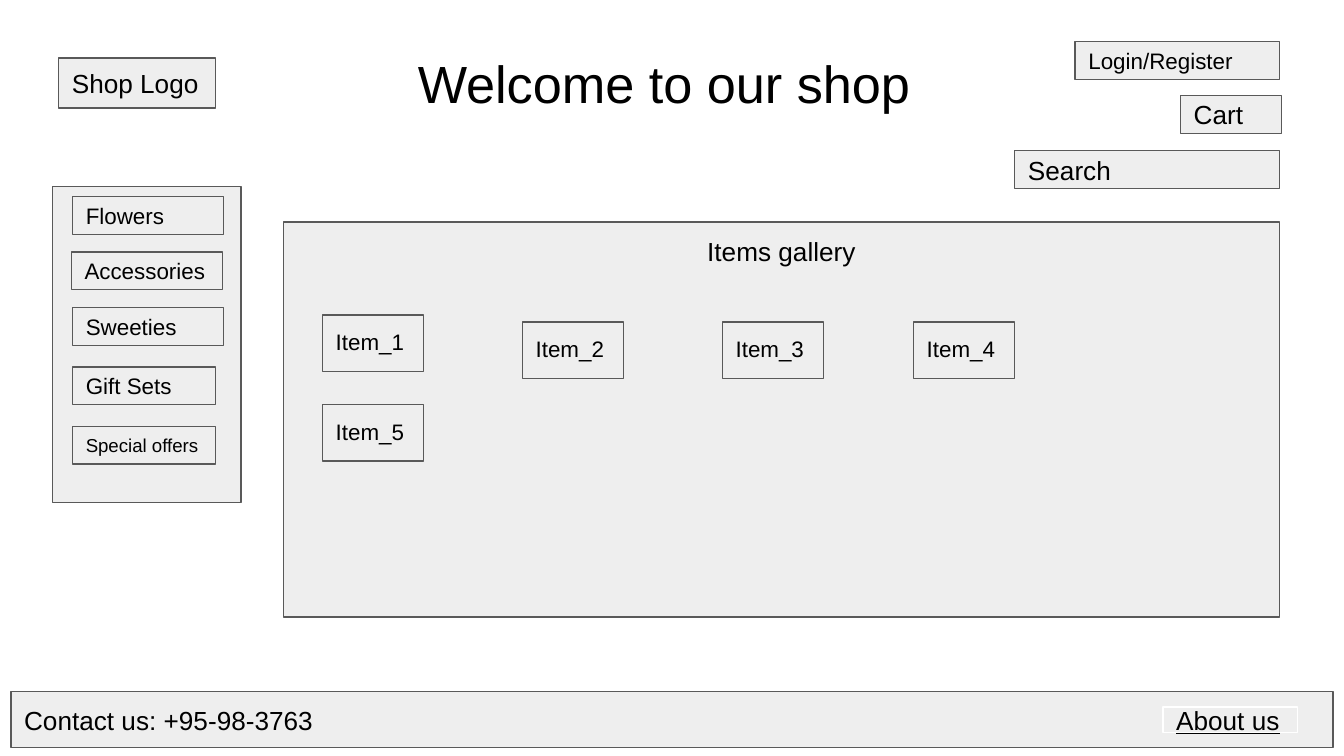
from pptx import Presentation
from pptx.dml.color import RGBColor
from pptx.enum.shapes import MSO_SHAPE as Shape
from pptx.enum.text import MSO_ANCHOR as Anchor, PP_ALIGN as Align
from pptx.util import Pt

BLACK = RGBColor(0x00, 0x00, 0x00)
WHITE = RGBColor(0xFF, 0xFF, 0xFF)
PANEL_GRAY = RGBColor(0xEE, 0xEE, 0xEE)
BORDER_GRAY = RGBColor(0x59, 0x59, 0x59)

FRAME_FORMAT = {
    "margin_left": Pt(7.2),
    "margin_top": Pt(7.2),
    "margin_right": Pt(7.2),
    "margin_bottom": Pt(7.2),
    "word_wrap": True,
}

presentation = Presentation()
presentation.slide_width = Pt(720)
presentation.slide_height = Pt(405)
slide = presentation.slides.add_slide(presentation.slide_layouts[5])


def write(shape, text, size, align=Align.LEFT, anchor=Anchor.MIDDLE, underline=None):
    frame = shape.text_frame
    for name, value in FRAME_FORMAT.items():
        setattr(frame, name, value)
    frame.vertical_anchor = anchor
    paragraph = frame.paragraphs[0]
    paragraph.alignment = align
    run = paragraph.add_run()
    run.text = text
    font_format = {"name": "Arial", "size": Pt(size), "underline": underline}
    for name, value in font_format.items():
        setattr(run.font, name, value)
    run.font.color.rgb = BLACK


def add_box(left, top, width, height, border=BORDER_GRAY):
    box = slide.shapes.add_shape(
        Shape.RECTANGLE, Pt(left), Pt(top), Pt(width), Pt(height))
    box.shadow.inherit = False
    box.fill.solid()
    box.fill.fore_color.rgb = PANEL_GRAY
    box.line.color.rgb = border
    box.line.width = Pt(0.75)
    return box


# Title
title = slide.shapes.title
title_place = {"left": 20.16, "top": 20.16, "width": 671, "height": 45.4}
for name, value in title_place.items():
    setattr(title, name, Pt(value))
write(title, "Welcome to our shop", 28, Align.CENTER, Anchor.TOP)

# Header: logo, account, cart and search
header_boxes = [
    ("Shop Logo", 14, 31.4, 31, 84, 26.8),
    ("Login/Register", 12, 576, 22.3, 109.6, 20.2),
    ("Cart", 14, 632.4, 51.2, 54.2, 20.2),
    ("Search", 14, 543.6, 80.8, 142, 20.2),
]
for text, size, *place in header_boxes:
    write(add_box(*place), text, size)

# Category menu
add_box(28.1, 100, 101, 169.4)
categories = [
    ("Flowers", 12, 38.9, 105.3, 81),
    ("Accessories", 12, 38.2, 135, 81),
    ("Sweeties", 12, 38.9, 164.9, 81),
    ("Gift Sets", 12, 38.9, 196.6, 76.6),
    ("Special offers", 10, 38.9, 228.4, 76.6),
]
for text, size, left, top, width in categories:
    write(add_box(left, top, width, 20.2), text, size)

# Items gallery
gallery = add_box(151.9, 119, 533.6, 211.5)
write(gallery, "Items gallery", 14, Align.CENTER, Anchor.TOP)
item_places = [(172.8, 168.7), (279.9, 172.6), (387, 172.6), (489.4, 172.6), (172.8, 216.7)]
for number, (left, top) in enumerate(item_places, start=1):
    write(add_box(left, top, 54.2, 30.3), f"Item_{number}", 12, anchor=Anchor.TOP)

# Footer
write(add_box(5.8, 370.4, 708.4, 30.2), "Contact us: +95-98-3763", 14)
about = add_box(623, 378.8, 72.2, 13.7, border=WHITE)
write(about, "About us", 14, underline=True)

presentation.save("out.pptx")
